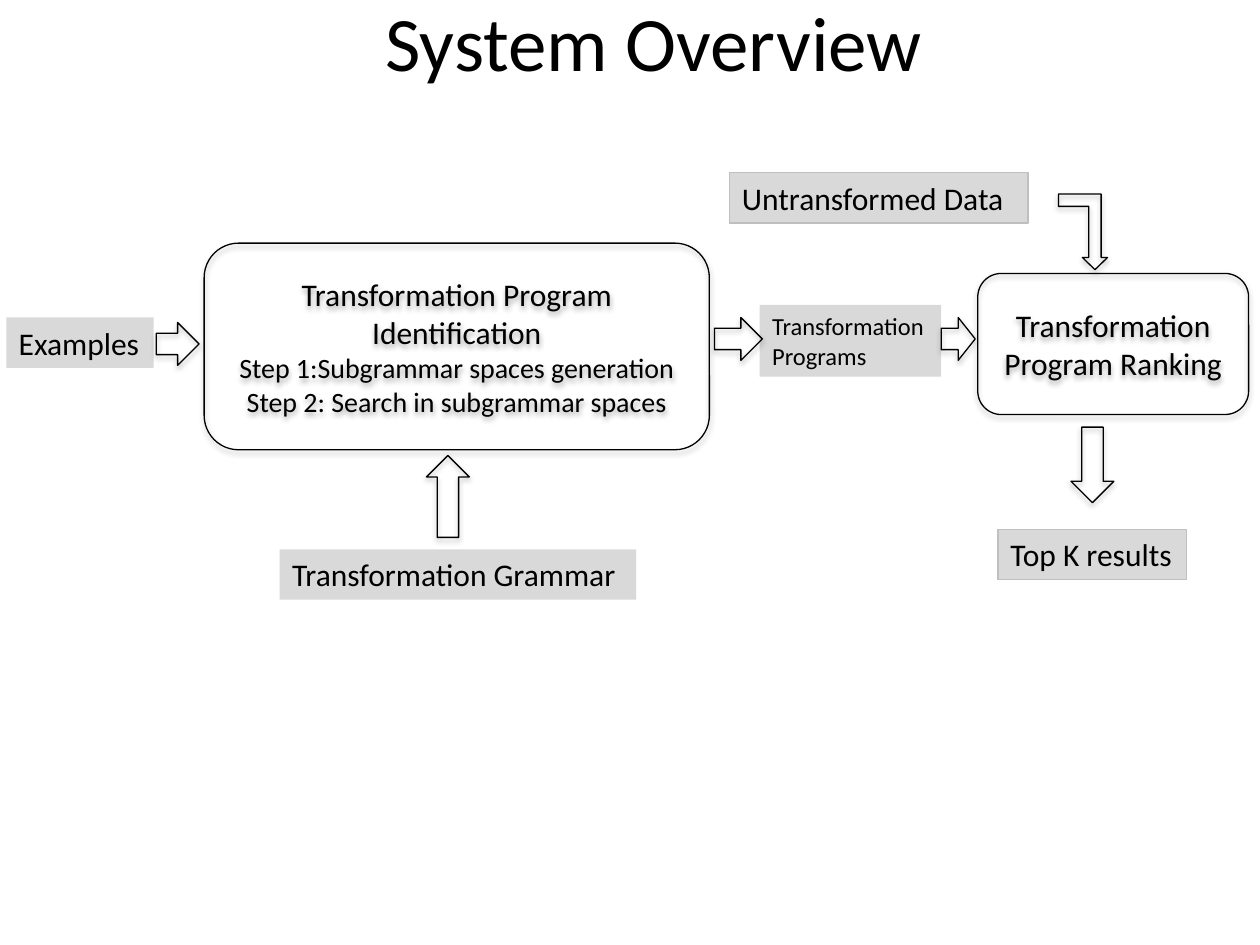
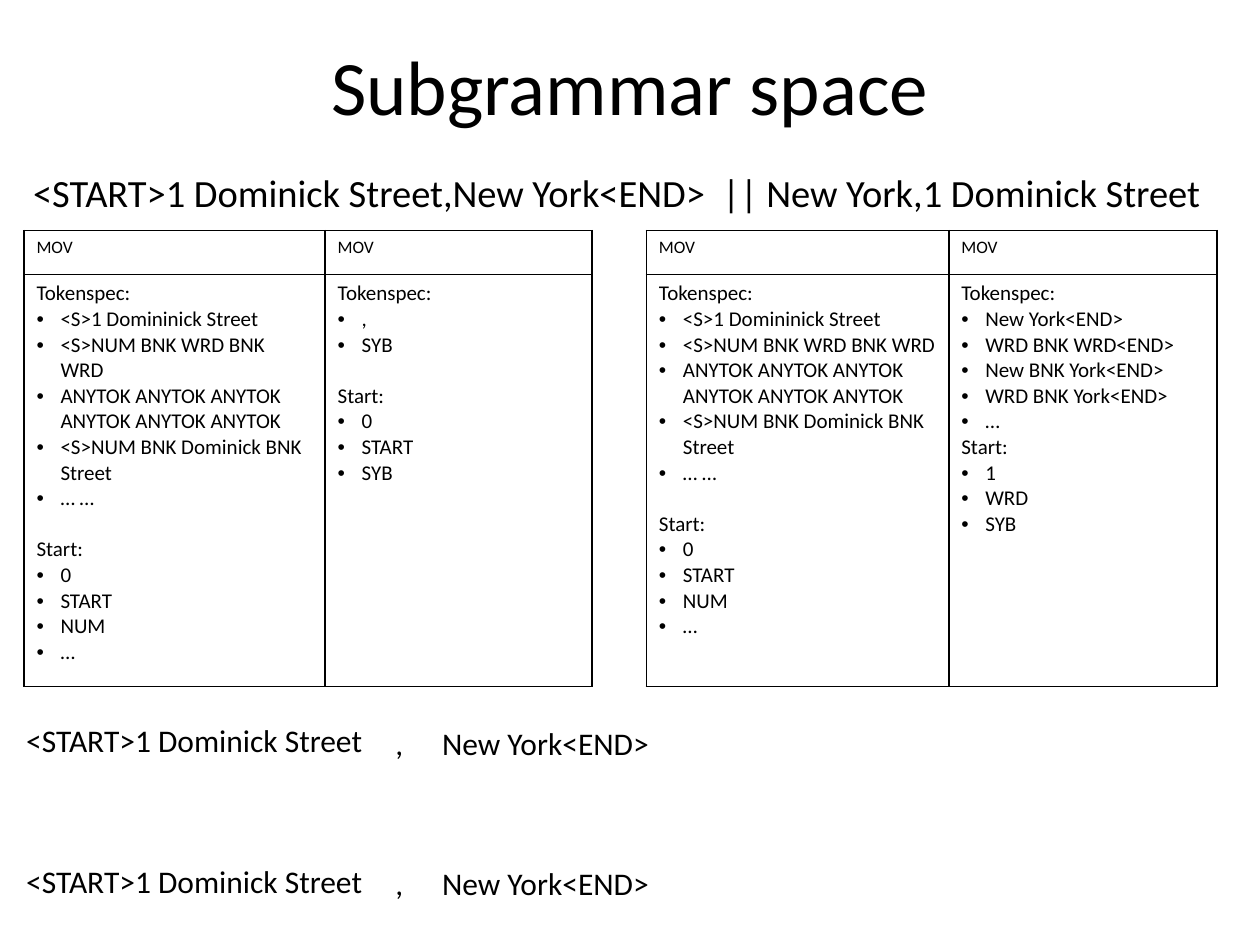
from lxml import etree
from pptx import Presentation
from pptx import util as u
from pptx.dml.color import RGBColor
from pptx.enum import shapes, text
from pptx.oxml import ns

Inches, Pt = u.Inches, u.Pt
BLACK = RGBColor(0x00, 0x00, 0x00)
LABEL_FILL = RGBColor(0xD9, 0xD9, 0xD9)
LABEL_LINE = RGBColor(0xBF, 0xBF, 0xBF)
FONT = "Calibri"
LINE_HEIGHT = 1.22
SECTION_GAP = Pt(12 * LINE_HEIGHT)
BULLET_INDENT = Inches(0.19)
ROW_HEIGHTS = (0.35, 3.27)

STREET_SPEC = ["<S>1 Domininick Street", "<S>NUM BNK WRD BNK WRD",
               "ANYTOK ANYTOK ANYTOK ANYTOK ANYTOK ANYTOK",
               "<S>NUM BNK Dominick BNK Street", "… …"]
STREET_START = ["0", "START", "NUM", "…"]
COMMA_SPEC = [",", "SYB"]
COMMA_START = ["0", "START", "SYB"]
CITY_SPEC = ["New York<END>", "WRD BNK WRD<END>", "New BNK York<END>",
             "WRD BNK York<END>", "…"]
CITY_START = ["1", "WRD", "SYB"]


def add_child(parent, tag, **attributes):
    child = etree.SubElement(parent, ns.qn(tag))
    for name, value in attributes.items():
        child.set(name, str(value))
    return child


def format_paragraph(paragraph, size, align=None):
    paragraph.alignment = align
    for run in paragraph.runs:
        run.font.name = FONT
        run.font.size = Pt(size)
        run.font.color.rgb = BLACK


def write_lines(text_frame, lines, align=None):
    text_frame.text = "\n".join(line for line, size in lines)
    for paragraph, (line, size) in zip(text_frame.paragraphs, lines):
        format_paragraph(paragraph, size, align)


def add_titled_slide(presentation, title, left, top):
    slide = presentation.slides.add_slide(presentation.slide_layouts[5])
    shape = slide.shapes.title
    shape.left, shape.top = Inches(left), Inches(top)
    shape.width, shape.height = Inches(9), Inches(1.25)
    shape.text_frame.vertical_anchor = text.MSO_ANCHOR.MIDDLE
    write_lines(shape.text_frame, [(title, 44)], text.PP_ALIGN.CENTER)
    return slide


def add_outline(slide, kind, left, top, width, height, rotation=0):
    shape = slide.shapes.add_shape(kind, Inches(left), Inches(top),
                                   Inches(width), Inches(height))
    shape.rotation = rotation
    shape.fill.background()
    shape.line.color.rgb = BLACK
    shape.line.width = Pt(0.75)
    shape.shadow.inherit = False
    effects = shape._element.spPr.find(ns.qn("a:effectLst"))
    shadow = add_child(effects, "a:outerShdw", blurRad=Pt(3.1), dist=Pt(1.8),
                       dir=90 * 60000, rotWithShape=0)
    color = add_child(shadow, "a:srgbClr", val=BLACK)
    add_child(color, "a:alpha", val=35000)
    return shape


def add_stage(slide, left, top, width, height, lines):
    shape = add_outline(slide, shapes.MSO_SHAPE.ROUNDED_RECTANGLE,
                        left, top, width, height)
    shape.text_frame.vertical_anchor = text.MSO_ANCHOR.MIDDLE
    write_lines(shape.text_frame, lines, text.PP_ALIGN.CENTER)


def add_bent_arrow(slide, left, top, width, height):
    arrow = add_outline(slide, shapes.MSO_SHAPE.BENT_UP_ARROW,
                        left, top, width, height, 180)
    arrow._element.spPr.find(ns.qn("a:xfrm")).set("flipH", "1")
    for index, value in enumerate((0.25, 0.257, 0.25)):
        arrow.adjustments[index] = value


def add_text(slide, left, top, width, height, lines, wrap=False, align=None):
    box = slide.shapes.add_textbox(Inches(left), Inches(top),
                                   Inches(width), Inches(height))
    box.text_frame.word_wrap = wrap
    box.text_frame.auto_size = text.MSO_AUTO_SIZE.SHAPE_TO_FIT_TEXT
    write_lines(box.text_frame, lines, align)
    return box


def add_label(slide, left, top, width, height, lines, outlined=False):
    label = add_text(slide, left, top, width, height, lines, wrap=outlined)
    label.fill.solid()
    label.fill.fore_color.rgb = LABEL_FILL
    if outlined:
        label.line.color.rgb = LABEL_LINE
        label.line.width = Pt(0.75)


def style_cell(cell):
    properties = cell._tc.get_or_add_tcPr()
    for side in ("L", "R", "T", "B"):
        border = add_child(properties, "a:ln" + side, w=Pt(1))
        fill = add_child(border, "a:solidFill")
        add_child(fill, "a:srgbClr", val=BLACK)
    cell.fill.background()


def add_bullet(paragraph):
    properties = paragraph._p.get_or_add_pPr()
    properties.set("marL", str(BULLET_INDENT))
    properties.set("indent", str(-BULLET_INDENT))
    add_child(properties, "a:buFont", typeface="Arial")
    add_child(properties, "a:buChar", char="•")


def fill_spec_cell(cell, tokens, starts, spaced):
    lines = ["Tokenspec:", *tokens, "Start:", *starts]
    headings = (0, len(tokens) + 1)
    write_lines(cell.text_frame, [(line, 12) for line in lines])
    for index, paragraph in enumerate(cell.text_frame.paragraphs):
        if index not in headings:
            add_bullet(paragraph)
    if spaced:
        cell.text_frame.paragraphs[headings[1]].space_before = SECTION_GAP


def add_grammar_table(slide, left, widths, columns):
    frame = slide.shapes.add_table(2, 2, Inches(left), Inches(1.83),
                                   Inches(sum(widths)), Inches(sum(ROW_HEIGHTS)))
    table = frame.table
    table.first_row = table.horz_banding = False
    for row, height in zip(table.rows, ROW_HEIGHTS):
        row.height = Inches(height)
    for index, (width, column) in enumerate(zip(widths, columns)):
        table.columns[index].width = Inches(width)
        write_lines(table.cell(0, index).text_frame, [("MOV", 10)])
        fill_spec_cell(table.cell(1, index), *column)
    for cell in table.iter_cells():
        style_cell(cell)


def build_overview(presentation):
    slide = add_titled_slide(presentation, "System Overview", 0.69, -0.3)
    add_stage(slide, 1.62, 1.93, 4.01, 1.64,
              [("Transformation Program Identification", 18),
               ("Step 1:Subgrammar spaces generation", 16),
               ("Step 2: Search in subgrammar spaces", 16)])
    add_stage(slide, 7.76, 2.17, 2.15, 1.12,
              [("Transformation Program Ranking", 18)])
    add_label(slide, 0.05, 2.52, 1.17, 0.4, [("Examples", 18)])
    add_label(slide, 6.03, 2.42, 1.44, 0.57,
              [("Transformation", 14), ("Programs", 14)])
    add_label(slide, 2.22, 4.36, 2.83, 0.4, [("Transformation Grammar", 18)])
    add_label(slide, 5.79, 1.37, 2.37, 0.4, [("Untransformed Data", 18)], True)
    add_label(slide, 7.92, 4.2, 1.5, 0.4, [("Top K results", 18)], True)
    for left, top, width, rotation in ((1.24, 2.56, 0.34, 0), (5.67, 2.52, 0.38, 0),
                                       (7.47, 2.52, 0.27, 0), (8.37, 3.52, 0.6, 90),
                                       (3.23, 3.77, 0.65, 270)):
        add_outline(slide, shapes.MSO_SHAPE.RIGHT_ARROW,
                    left, top, width, 0.34, rotation)
    add_bent_arrow(slide, 8.4, 1.54, 0.39, 0.6)


def build_subgrammar(presentation):
    slide = add_titled_slide(presentation, "Subgrammar space", 0.5, 0.05)
    add_text(slide, 0, 1.29, 9.79, 0.47,
             [("<START>1 Dominick Street,New York<END>  || New York,1 Dominick Street", 22)],
             True, text.PP_ALIGN.CENTER)
    street = (STREET_SPEC, STREET_START, True)
    comma = (COMMA_SPEC, COMMA_START, True)
    city = (CITY_SPEC, CITY_START, False)
    add_grammar_table(slide, 0.19, (2.39, 2.12), (street, comma))
    add_grammar_table(slide, 5.13, (2.4, 2.13), (street, city))
    for street_top, top in ((5.67, 5.7), (6.79, 6.81)):
        add_text(slide, 0.11, street_top, 2.93, 0.4, [("<START>1 Dominick Street", 18)])
        add_text(slide, 3.04, top, 0.26, 0.4, [(",", 18)])
        add_text(slide, 3.41, top, 1.88, 0.4, [("New York<END>", 18)])


def main():
    presentation = Presentation()
    presentation.slide_width, presentation.slide_height = Inches(10), Inches(7.5)
    build_overview(presentation)
    build_subgrammar(presentation)
    presentation.save("out.pptx")


main()
